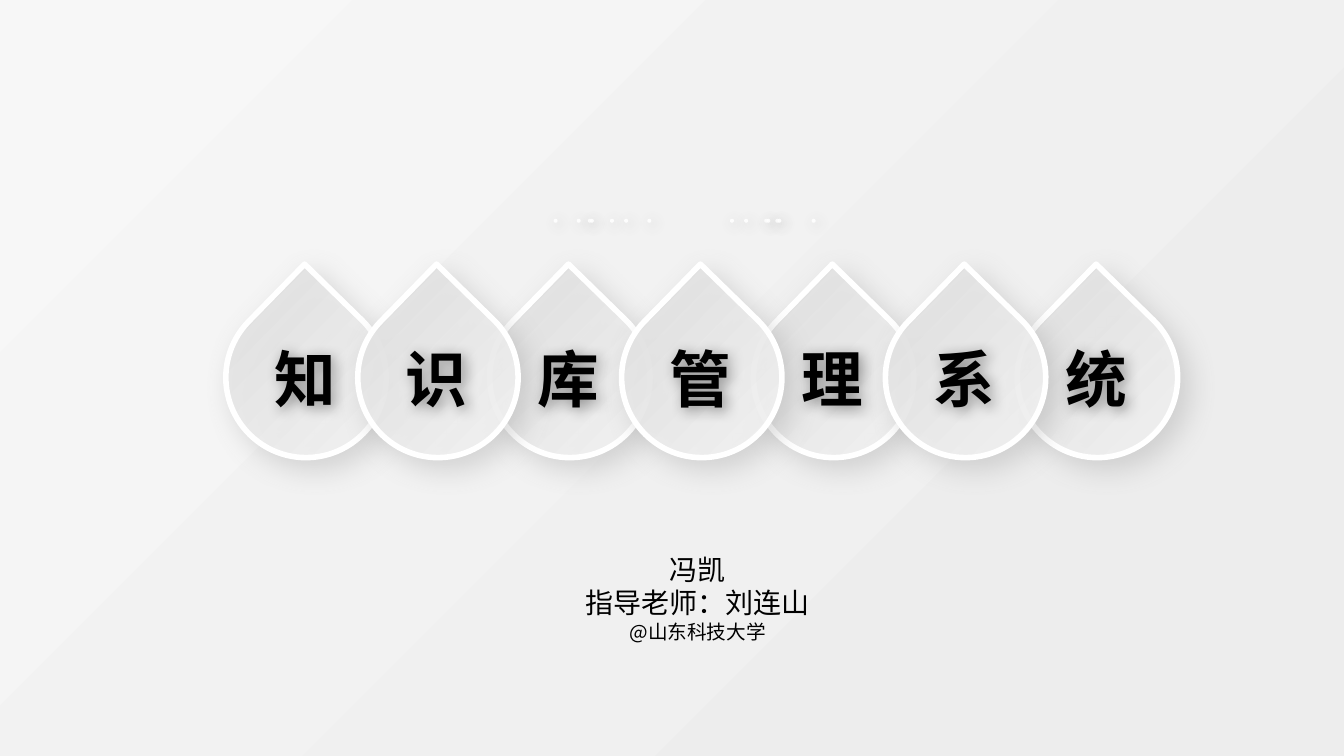
from lxml.etree import SubElement
from pptx import Presentation
from pptx.dml.color import RGBColor
from pptx.enum.shapes import MSO_SHAPE
from pptx.enum.text import PP_ALIGN
from pptx.oxml.ns import qn
from pptx.util import Inches, Pt

COLORS = {
    "light": "F7F7F7",
    "pale": "EDEDED",
    "drop": "D9D9D9",
    "white": "FFFFFF",
    "shade": "808080",
    "black": "000000",
}
FONT = "Noto Sans CJK SC"
TITLE = "知识库管理系统"
DROP_ORDER = [6, 0, 2, 4, 1, 3, 5]
DROP_LEFT, DROP_TOP, DROP_SIZE = 2.24, 2.95, 1.59
DROP_STEP = (10.09 - DROP_LEFT) / (len(TITLE) - 1)
DOT_LEFTS = [5.49, 5.72, 5.83, 5.85, 6.05, 6.19, 6.42,
             7.24, 7.38, 7.58, 7.6, 7.69, 7.71, 8.05]
AUTHORS = [("冯凯", 20), ("指导老师：刘连山", 20), ("@山东科技大学", 14)]


class CoverSlide:
    def __init__(self, presentation):
        self.slide = presentation.slides.add_slide(presentation.slide_layouts[6])

    def set_alpha(self, color_element, percent):
        SubElement(color_element, qn("a:alpha"), val=str(percent * 1000))

    def gradient(self, fill, start, end, angle, end_position=1.0):
        fill.gradient()
        fill.gradient_angle = -angle % 360
        for stop, name in zip(fill.gradient_stops, (start, end)):
            stop.color.rgb = RGBColor.from_string(COLORS[name])
        fill.gradient_stops[0].position = 0
        fill.gradient_stops[1].position = end_position

    def background(self):
        self.gradient(self.slide.background.fill, "light", "pale", 45, 0.84)

    def shadow(self, shape, name, percent, blur, distance):
        shape.shadow.inherit = False
        effects = shape._element.spPr.find(qn("a:effectLst"))
        outer = SubElement(effects, qn("a:outerShdw"), blurRad=str(Pt(blur)),
                           dist=str(Pt(distance)), dir="2700000",
                           algn="tl", rotWithShape="0")
        color = SubElement(outer, qn("a:srgbClr"), val=COLORS[name])
        self.set_alpha(color, percent)

    def shape(self, kind, left, top, size):
        return self.slide.shapes.add_shape(
            kind, Inches(left), Inches(top), Inches(size), Inches(size))

    def drop(self, left):
        shape = self.shape(MSO_SHAPE.TEAR, left, DROP_TOP, DROP_SIZE)
        shape.rotation = 314.3
        self.gradient(shape.fill, "drop", "white", 90)
        end_color = shape._element.spPr.findall(".//" + qn("a:gs"))[1][0]
        self.set_alpha(end_color, 82)
        shape.line.color.rgb = RGBColor.from_string(COLORS["white"])
        shape.line.width = Pt(4)
        self.shadow(shape, "shade", 30, 20, 9)

    def dot(self, left):
        shape = self.shape(MSO_SHAPE.OVAL, left, 2.17, 0.04)
        shape.fill.solid()
        shape.fill.fore_color.rgb = RGBColor.from_string(COLORS["white"])
        self.set_alpha(shape._element.spPr.find(qn("a:solidFill"))[0], 89)
        shape.line.fill.background()
        self.shadow(shape, "black", 40, 10, 3)

    def text(self, left, top, width, height, lines, bold=False, align=PP_ALIGN.LEFT):
        box = self.slide.shapes.add_textbox(
            Inches(left), Inches(top), Inches(width), Inches(height))
        frame = box.text_frame
        frame.word_wrap = True
        frame.text = "\n".join(line for line, size in lines)
        for paragraph, (line, size) in zip(frame.paragraphs, lines):
            paragraph.alignment = align
            for run in paragraph.runs:
                run.font.size = Pt(size)
                run.font.bold = bold
                run.font.name = FONT
                run.font.color.rgb = RGBColor.from_string(COLORS["black"])
                SubElement(run.font._element, qn("a:ea"), typeface=FONT)
        return box


def main():
    presentation = Presentation()
    presentation.slide_width = Inches(13.33)
    presentation.slide_height = Inches(7.5)
    cover = CoverSlide(presentation)
    cover.background()
    for left in DOT_LEFTS:
        cover.dot(left)
    for index in DROP_ORDER:
        cover.drop(DROP_LEFT + index * DROP_STEP)
    for index, character in enumerate(TITLE):
        left = DROP_LEFT + 0.38 + index * DROP_STEP
        box = cover.text(left, 3.33, 0.83, 0.83, [(character, 44)], bold=True)
        cover.shadow(box, "black", 40, 10, 3)
    cover.text(4.88, 5.43, 4.08, 1.01, AUTHORS, align=PP_ALIGN.CENTER)
    presentation.save("out.pptx")


if __name__ == "__main__":
    main()
